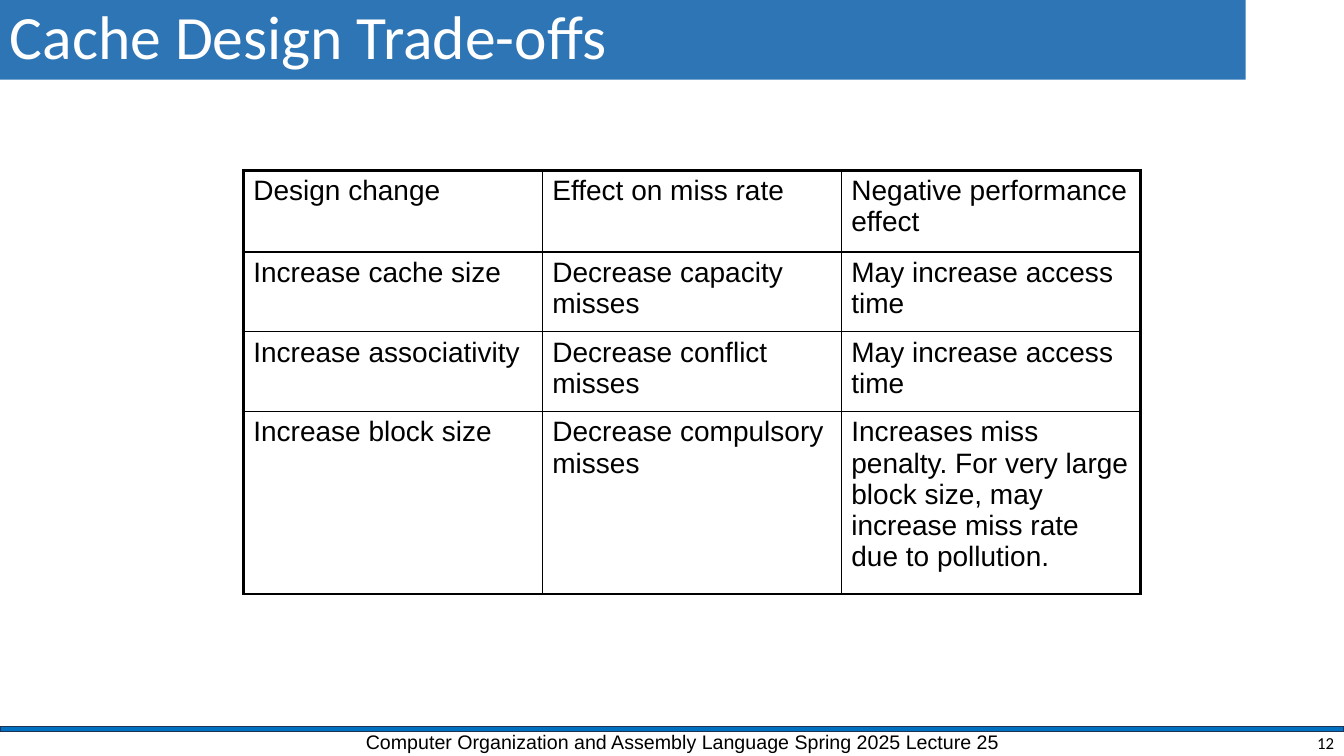
from dataclasses import dataclass

from lxml import etree
from pptx import Presentation
from pptx.dml.color import RGBColor
from pptx.enum.shapes import MSO_SHAPE
from pptx.enum.text import MSO_ANCHOR, PP_ALIGN
from pptx.oxml.ns import qn
from pptx.util import Cm, Pt

RECTANGLE = MSO_SHAPE.RECTANGLE
TOP, MIDDLE = MSO_ANCHOR.TOP, MSO_ANCHOR.MIDDLE
LEFT, RIGHT = PP_ALIGN.LEFT, PP_ALIGN.RIGHT


@dataclass(frozen=True)
class Theme:
    banner: str = "2E75B6"
    rule: str = "0070C0"
    rule_edge: str = "1E3256"
    ink: str = "000000"
    paper: str = "FFFFFF"
    heading_font: str = "Calibri"
    body_font: str = "Arial"
    title_size: float = 44
    table_size: float = 20
    footer_size: float = 14
    number_size: float = 12
    frame_width: float = 2.25
    header_width: float = 1.5
    grid_width: float = 1


THEME = Theme()

TRADE_OFFS = [
    ["Design change", "Effect on miss rate", "Negative performance effect"],
    ["Increase cache size", "Decrease capacity misses", "May increase access time"],
    ["Increase associativity", "Decrease conflict misses", "May increase access time"],
    ["Increase block size", "Decrease compulsory misses",
     "Increases miss penalty. For very large block size, may increase miss rate "
     "due to pollution."],
]
ROW_HEIGHTS = [2.06, 2.01, 2.01, 4.6]


def write(frame, text, font, size, color, align=LEFT, anchor=TOP):
    frame.word_wrap = True
    frame.vertical_anchor = anchor
    paragraph = frame.paragraphs[0]
    paragraph.alignment = align
    run = paragraph.add_run()
    run.text = text
    run.font.name = font
    run.font.size = Pt(size)
    run.font.color.rgb = RGBColor.from_string(color)
    return paragraph


def add_bar(slide, box, fill):
    bar = slide.shapes.add_shape(RECTANGLE, *map(Cm, box))
    bar.shadow.inherit = False
    bar.fill.solid()
    bar.fill.fore_color.rgb = RGBColor.from_string(fill)
    return bar


def add_title(slide, box, text):
    banner = add_bar(slide, box, THEME.banner)
    banner.line.fill.background()
    heading = write(banner.text_frame, text, THEME.heading_font, THEME.title_size,
                    THEME.paper, anchor=MIDDLE)
    heading.line_spacing = 0.9


def add_footer(slide, box, course, number):
    """Place a rule on the box's top edge, with course and page number below."""
    left, top, width, height = box
    rule = add_bar(slide, (left, top, width, 0.13), THEME.rule)
    rule.line.color.rgb = RGBColor.from_string(THEME.rule_edge)
    rule.line.width = Pt(1)

    course_box = slide.shapes.add_textbox(
        Cm(left + 8.97), Cm(top - 0.05), Cm(16.66), Cm(height))
    write(course_box.text_frame, course, THEME.body_font, THEME.footer_size, THEME.ink)

    number_width = 7.62
    number_box = slide.shapes.add_textbox(
        Cm(left + width - number_width), Cm(top + 0.08), Cm(number_width), Cm(0.64))
    write(number_box.text_frame, number, THEME.heading_font, THEME.number_size,
          THEME.ink, align=RIGHT, anchor=MIDDLE)


def set_borders(cell, widths):
    """Draw the left, right, top and bottom borders in the given point widths."""
    properties = cell._tc.get_or_add_tcPr()
    for index, (side, width) in enumerate(zip("LRTB", widths)):
        border = etree.Element(qn(f"a:ln{side}"), w=str(Pt(width)))
        fill = etree.SubElement(border, qn("a:solidFill"))
        etree.SubElement(fill, qn("a:srgbClr"), val=THEME.ink)
        properties.insert(index, border)


def add_trade_off_table(slide, box, rows, row_heights):
    row_count, column_count = len(rows), len(rows[0])
    table = slide.shapes.add_table(row_count, column_count, *map(Cm, box)).table
    table.first_row = table.horz_banding = False
    for column in table.columns:
        column.width = Cm(box[2] / column_count)
    for row, height in zip(table.rows, row_heights):
        row.height = Cm(height)

    frame, grid = THEME.frame_width, THEME.grid_width
    vertical = [frame] + [grid] * (column_count - 1) + [frame]
    horizontal = [frame, THEME.header_width] + [grid] * (row_count - 2) + [frame]
    for r, row in enumerate(rows):
        for c, text in enumerate(row):
            cell = table.cell(r, c)
            cell.fill.background()
            write(cell.text_frame, text, THEME.body_font, THEME.table_size, THEME.ink)
            set_borders(cell, vertical[c:c + 2] + horizontal[r:r + 2])


def main():
    deck = Presentation()
    deck.slide_width, deck.slide_height = Cm(33.87), Cm(19.05)
    slide = deck.slides.add_slide(deck.slide_layouts[6])
    add_footer(slide, (0, 18.31, 33.87, 0.79),
               "Computer Organization and Assembly Language Spring 2025 Lecture 25", "12")
    add_title(slide, (0, 0, 31.39, 2.01), "Cache Design Trade-offs")
    add_trade_off_table(slide, (6.13, 4.29, 22.61, sum(ROW_HEIGHTS)),
                        TRADE_OFFS, ROW_HEIGHTS)
    deck.save("out.pptx")


if __name__ == "__main__":
    main()
